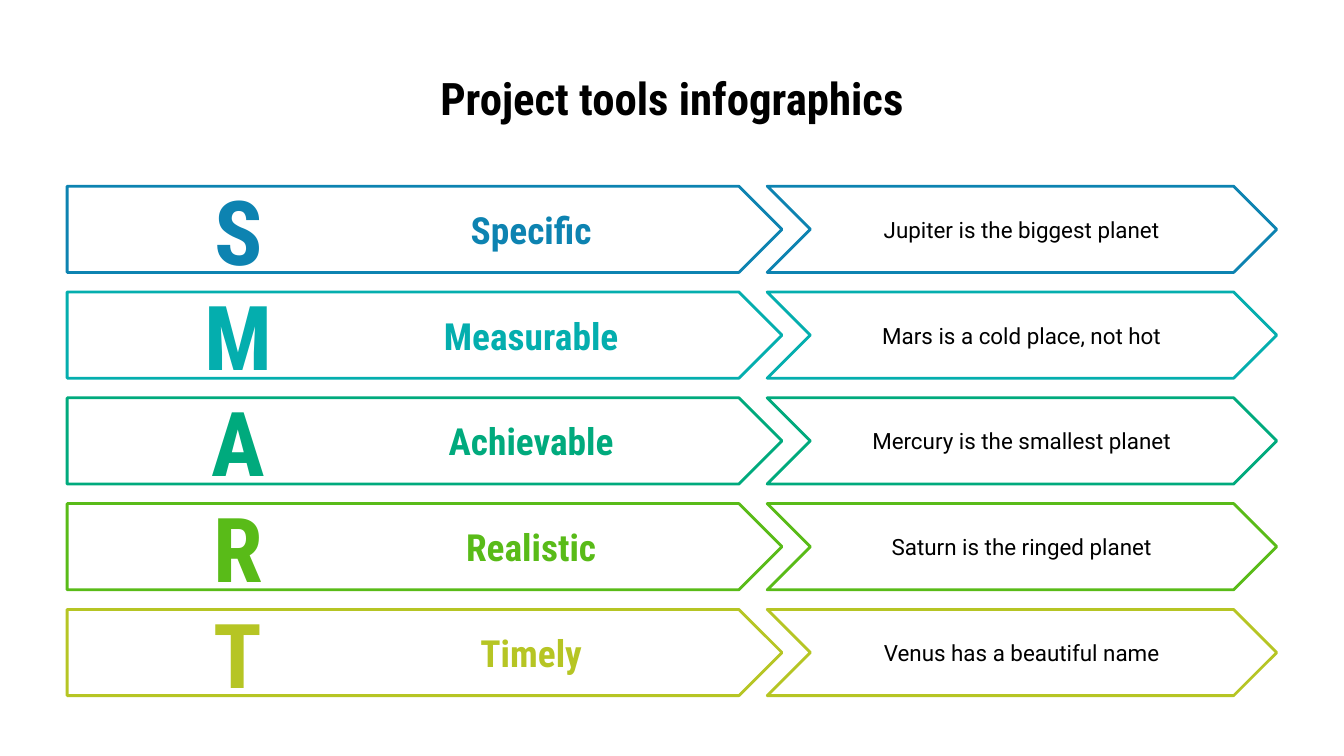
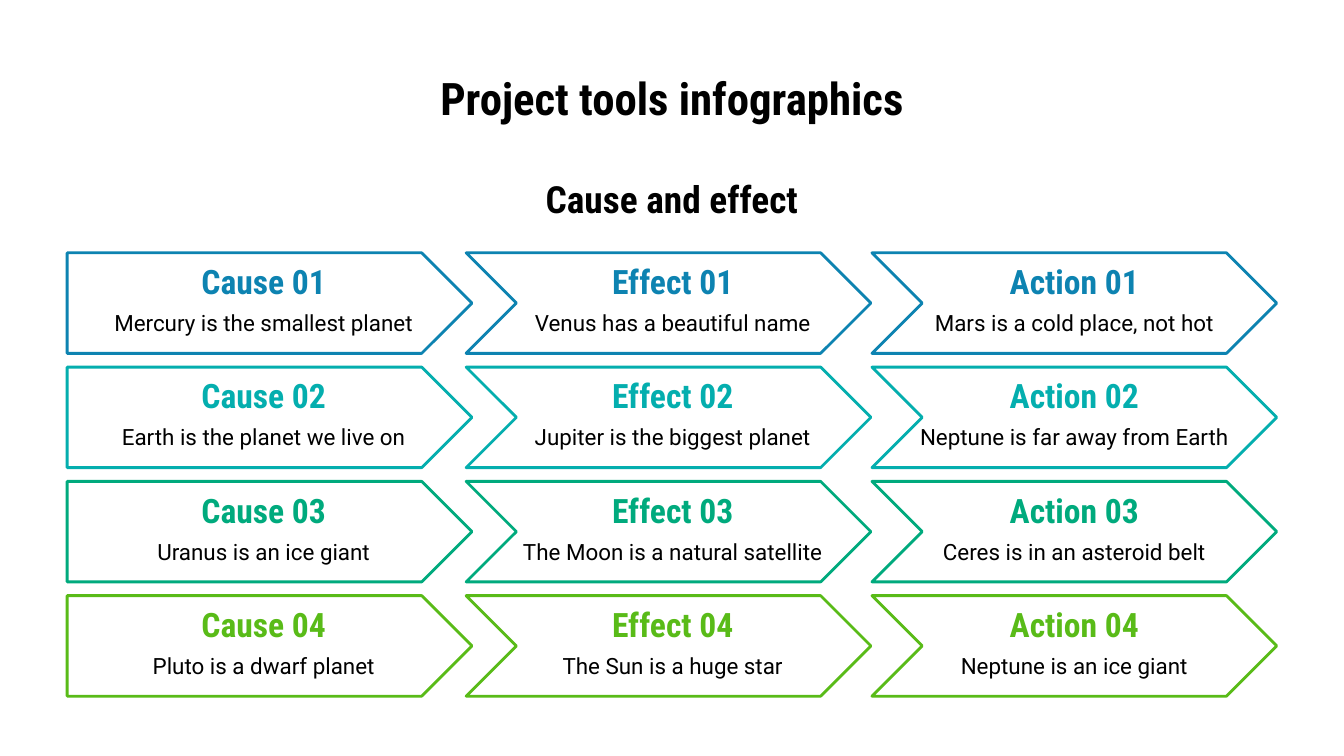
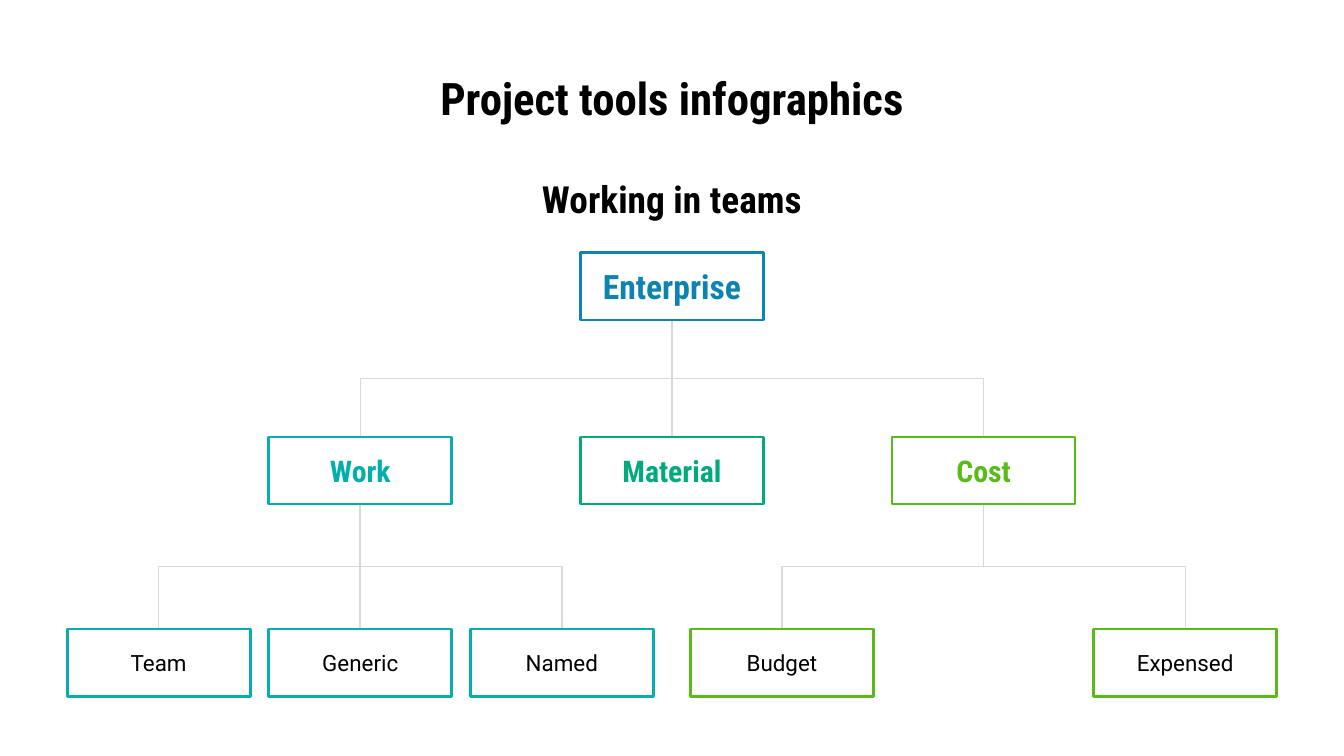
"""Builds three project tool slides: SMART goals, cause and effect, team tree."""
from collections import namedtuple

from lxml import etree
from pptx import Presentation
from pptx.dml.color import RGBColor
from pptx.enum.shapes import MSO_CONNECTOR, MSO_SHAPE
from pptx.enum.text import MSO_ANCHOR, MSO_AUTO_SIZE, PP_ALIGN
from pptx.oxml.ns import qn
from pptx.util import Cm, Pt

PLATE, CHEVRON, RECTANGLE = MSO_SHAPE.PENTAGON, MSO_SHAPE.CHEVRON, MSO_SHAPE.RECTANGLE
ELBOW = MSO_CONNECTOR.ELBOW
CENTER, MIDDLE, NO_FIT = PP_ALIGN.CENTER, MSO_ANCHOR.MIDDLE, MSO_AUTO_SIZE.NONE
BOTTOM_SITE, TOP_SITE = 2, 0
TITLE_ONLY = 5

COLORS = {
    "black": "000000", "rule": "D9D9D9", "blue": "0D83B1", "teal": "04AEAE",
    "green": "00AA7D", "lime": "59BB18", "olive": "B6C524",
}
HEADING_FONT, BODY_FONT = "Roboto Condensed", "Roboto"
TITLE = "Project tools infographics"
INSET = 0.25

Box = namedtuple("Box", "left top width height")
TITLE_BOX = Box(2, 1.24, 21.4, 1.19)
SUBTITLE_BOX = Box(8.31, 3.23, 8.78, 1.04)
SMART_BOX = Box(1.27, 3.52, 22.86, 9.63)
CONTENT_BOX = Box(1.27, 4.78, 22.86, 8.38)

SMART_ROWS = [
    ("blue", "Specific", "Jupiter is the biggest planet"),
    ("teal", "Measurable", "Mars is a cold place, not hot"),
    ("green", "Achievable", "Mercury is the smallest planet"),
    ("lime", "Realistic", "Saturn is the ringed planet"),
    ("olive", "Timely", "Venus has a beautiful name"),
]
CAUSE_ROWS = [
    ("blue", "Mercury is the smallest planet", "Venus has a beautiful name",
     "Mars is a cold place, not hot"),
    ("teal", "Earth is the planet we live on", "Jupiter is the biggest planet",
     "Neptune is far away from Earth"),
    ("green", "Uranus is an ice giant", "The Moon is a natural satellite",
     "Ceres is in an asteroid belt"),
    ("lime", "Pluto is a dwarf planet", "The Sun is a huge star",
     "Neptune is an ice giant"),
]
CAUSE_COLUMNS = [
    ("Cause", PLATE, 0, 0.3), ("Effect", CHEVRON, 7.54, 8.03), ("Action", CHEVRON, 15.21, 15.62),
]
BRANCHES = [
    ("Work", "teal", -1, [("Team", -1), ("Generic", 0), ("Named", 1)]),
    ("Material", "green", 0, []),
    ("Cost", "lime", 1, [("Budget", -1), ("Expensed", 1)]),
]


def place(box):
    """Return the four sides of a box as lengths."""
    return [Cm(side) for side in box]


def write_text(frame, text, size=12, color="black", heading=False):
    """Fill a text frame with one centred paragraph."""
    frame.word_wrap = True
    frame.auto_size = NO_FIT
    frame.vertical_anchor = MIDDLE
    frame.margin_left = frame.margin_right = Cm(INSET)
    frame.margin_top = frame.margin_bottom = Cm(INSET)
    para = frame.paragraphs[0]
    para.alignment = CENTER
    span = para.add_run()
    span.text = text
    span.font.name = HEADING_FONT if heading else BODY_FONT
    span.font.size = Pt(size)
    span.font.bold = heading
    span.font.color.rgb = RGBColor.from_string(COLORS[color])


def add_label(page, box, text, **style):
    """Add a text box holding one formatted line."""
    write_text(page.shapes.add_textbox(*place(box)).text_frame, text, **style)


def add_outline(page, kind, box, color):
    """Add an unfilled shape with a coloured, round-jointed border."""
    shape = page.shapes.add_shape(kind, *place(box))
    shape.shadow.inherit = False
    shape.fill.background()
    shape.line.color.rgb = RGBColor.from_string(COLORS[color])
    shape.line.width = Pt(1.5)
    etree.SubElement(shape.element.spPr.find(qn("a:ln")), qn("a:round"))
    return shape


def add_page(deck, subtitle=None):
    """Add a slide with the shared title and an optional subtitle."""
    page = deck.slides.add_slide(deck.slide_layouts[TITLE_ONLY])
    title = page.shapes.title
    title.left, title.top, title.width, title.height = place(TITLE_BOX)
    write_text(title.text_frame, TITLE, size=24, heading=True)
    if subtitle:
        add_label(page, SUBTITLE_BOX, subtitle, size=20, heading=True)
    return page


def add_smart_rows(page, area):
    """Stack the five goal rows, each a plate followed by a chevron."""
    height, pitch, inset = 1.63, 2, 0.15
    for index, (color, word, note) in enumerate(SMART_ROWS):
        top = area.top + index * pitch
        add_outline(page, PLATE, Box(area.left, top, 13.51, height), color)
        add_outline(page, CHEVRON, Box(area.left + 13.23, top, 9.63, height), color)
        add_label(page, Box(area.left + 1.57, top, 3.33, height), word[0],
                  size=48, color=color, heading=True)
        add_label(page, Box(area.left + 5.61, top, 6.32, height), word,
                  size=20, color=color, heading=True)
        add_label(page, Box(area.left + 14.66, top + inset, 6.76, height - 2 * inset), note)


def add_cause_grid(page, area):
    """Lay out the cause, effect and action arrows in rows."""
    height, pitch = 1.9, 2.16
    for index, (color, *notes) in enumerate(CAUSE_ROWS):
        top = area.top + index * pitch
        for (name, kind, shift, text_shift), note in zip(CAUSE_COLUMNS, notes):
            text_left = area.left + text_shift
            add_outline(page, kind, Box(area.left + shift, top, 7.65, height), color)
            add_label(page, Box(text_left, top + 0.18, 6.83, 0.71),
                      f"{name} {index + 1:02d}", size=18, color=color, heading=True)
            add_label(page, Box(text_left, top + 0.75, 6.83, 1.14), note)


def add_node(page, center, top, text, border, **style):
    """Add one tree box centred on a column."""
    width, height = 3.46, 1.27
    node = add_outline(page, RECTANGLE, Box(center - width / 2, top, width, height), border)
    write_text(node.text_frame, text, **style)
    return node


def join_nodes(page, parent, child):
    """Join a parent's bottom to a child's top with a bent line behind the boxes."""
    start_x, start_y = parent.left + parent.width // 2, parent.top + parent.height
    end_x, end_y = child.left + child.width // 2, child.top
    drop, reach = end_y - start_y, abs(end_x - start_x)
    rightward = end_x >= start_x
    line = page.shapes.add_connector(ELBOW, start_x, start_y, end_x, end_y)
    line.begin_connect(parent, BOTTOM_SITE)
    line.end_connect(child, TOP_SITE)
    line.left, line.top = (start_x + end_x - drop) // 2, (start_y + end_y - reach) // 2
    line.width, line.height = drop, reach
    frame = line.element.spPr.find(qn("a:xfrm"))
    frame.set("rot", str((270 if rightward else 90) * 60000))
    frame.set("flipH", "1" if rightward else "0")
    frame.set("flipV", "0")
    line.line.color.rgb = RGBColor.from_string(COLORS["rule"])
    line.line.width = Pt(0.75)
    etree.SubElement(line.element.spPr, qn("a:effectLst"))
    line.element.getparent().insert(2, line.element)


def add_team_tree(page, area):
    """Draw the three-level tree centred in its area."""
    branch_pitch, leaf_pitch = 5.89, 3.81
    middle = area.left + area.width / 2
    root = add_node(page, middle, area.top, "Enterprise", "blue",
                    size=18, color="blue", heading=True)
    for name, color, step, leaves in BRANCHES:
        center = middle + step * branch_pitch
        branch = add_node(page, center, area.top + 3.48, name, color,
                          size=16, color=color, heading=True)
        join_nodes(page, root, branch)
        for leaf_name, leaf_step in leaves:
            leaf = add_node(page, center + leaf_step * leaf_pitch, area.top + 7.11,
                            leaf_name, color)
            join_nodes(page, branch, leaf)


def main():
    """Build the deck and save it."""
    deck = Presentation()
    deck.slide_width, deck.slide_height = Cm(25.4), Cm(14.29)
    add_smart_rows(add_page(deck), SMART_BOX)
    add_cause_grid(add_page(deck, "Cause and effect"), CONTENT_BOX)
    add_team_tree(add_page(deck, "Working in teams"), CONTENT_BOX)
    deck.save("out.pptx")


if __name__ == "__main__":
    main()
